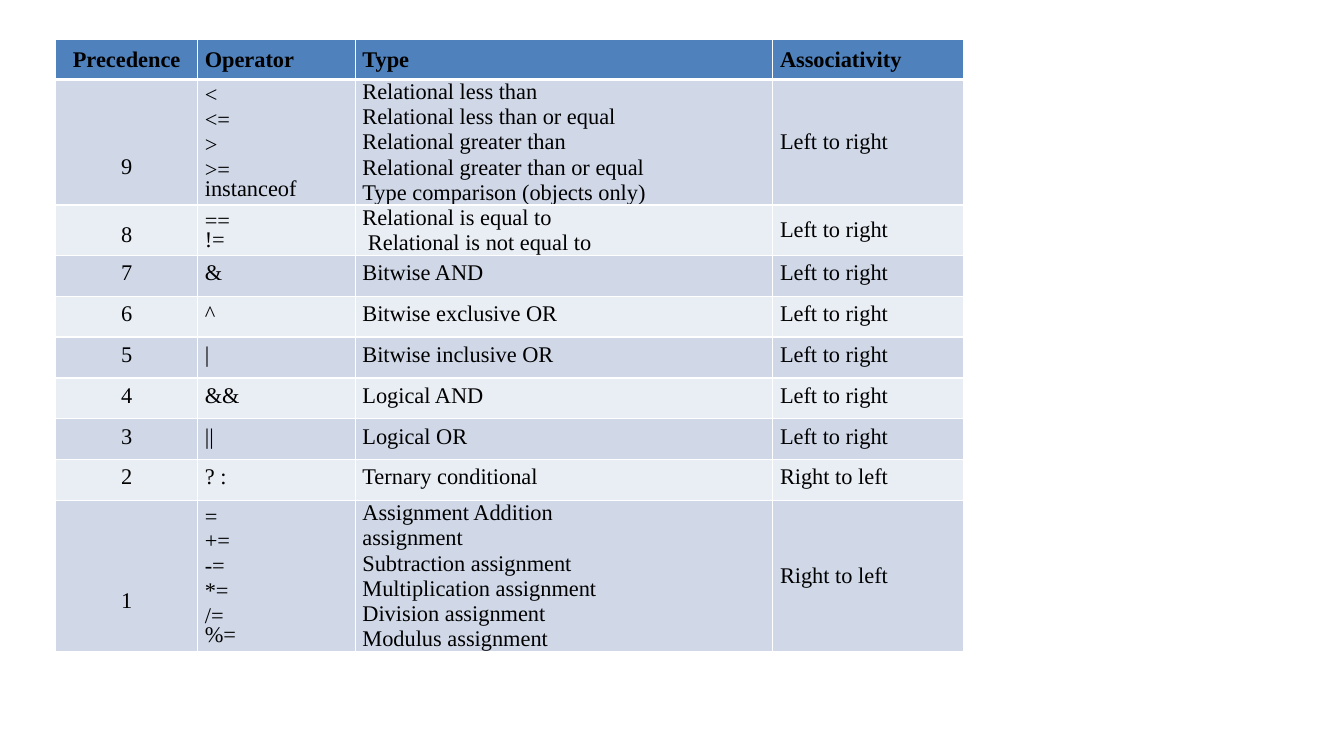
"""Builds a slide with a table of operator precedence."""
from dataclasses import dataclass

from lxml import etree
from pptx import Presentation
from pptx import util as u
from pptx.dml.color import RGBColor
from pptx.enum import text
from pptx.oxml.ns import qn


@dataclass(frozen=True)
class Theme:
    """Colours, font and sizes of the slide."""
    head: str = "4F81BD"
    odd: str = "D0D8E8"
    even: str = "E9EDF4"
    ink: str = "000000"
    rule: str = "FFFFFF"
    font: str = "Times New Roman"
    size: float = 16
    tight: float = 13.8
    loose: float = 1.01
    thin: float = 1
    thick: float = 3
    dent: float = 0.18


class Deck:
    """Holds the theme and the current slide."""

    def __init__(self, theme):
        """Start a wide deck with one blank slide."""
        self.theme = theme
        self.prs = Presentation()
        self.prs.slide_width = u.Inches(13.33)
        self.prs.slide_height = u.Inches(7.5)
        self.slide = self.prs.slides.add_slide(self.prs.slide_layouts[6])

    def indent(self, para, left):
        """Set the left indent of a paragraph in centimetres."""
        props = para._p.get_or_add_pPr()
        props.set("marL", str(u.Cm(left)))
        props.set("indent", "0")

    def border(self, cell, top, low):
        """Draw the four edges of a cell."""
        props = cell._tc.get_or_add_tcPr()
        edges = {"lnL": self.theme.thin, "lnR": self.theme.thin,
                 "lnT": top, "lnB": low}
        for spot, (tag, width) in enumerate(edges.items()):
            line = etree.Element(qn(f"a:{tag}"), w=str(u.Pt(width)))
            fill = etree.SubElement(line, qn("a:solidFill"))
            etree.SubElement(fill, qn("a:srgbClr"), val=self.theme.rule)
            props.insert(spot, line)

    def cell(self, cell, words, row, col, tall):
        """Fill and format one table cell."""
        look = self.theme
        shade = look.odd if row % 2 else look.even
        cell.fill.solid()
        cell.fill.fore_color.rgb = RGBColor.from_string(shade if row else look.head)
        self.border(cell, look.thick if row == 1 else look.thin,
                    look.thin if row else look.thick)
        cell.margin_left = cell.margin_right = 0
        cell.margin_top = cell.margin_bottom = 0
        cell.vertical_anchor = text.MSO_ANCHOR.MIDDLE
        cell.text_frame.text = words
        paras = cell.text_frame.paragraphs
        for para in paras:
            if col == 0:
                para.alignment = text.PP_ALIGN.CENTER
            else:
                self.indent(para, look.dent)
            last = col == 1 and para is paras[-1]
            if row and (not tall or last):
                para.line_spacing = u.Pt(look.tight)
            elif tall and col == 2:
                para.line_spacing = look.loose
            for run in para.runs:
                run.font.name = look.font
                run.font.size = u.Pt(look.size)
                run.font.bold = row == 0
                run.font.color.rgb = RGBColor.from_string(look.ink)

    def table(self, left, top, widths, heights, rows):
        """Add a table and return it."""
        frame = self.slide.shapes.add_table(
            len(rows), len(widths), u.Cm(left), u.Cm(top),
            u.Cm(sum(widths)), u.Cm(sum(heights)))
        grid = frame.table
        for col, width in enumerate(widths):
            grid.columns[col].width = u.Cm(width)
        for row, (height, items) in enumerate(zip(heights, rows)):
            grid.rows[row].height = u.Cm(height)
            tall = any("\n" in words for words in items)
            for col, words in enumerate(items):
                self.cell(grid.cell(row, col), words, row, col, tall)
        return grid


LEFT, RIGHT = "Left to right", "Right to left"
ROWS = [
    ("Precedence", "Operator", "Type", "Associativity"),
    ("9", "<\n<=\n>\n>=\ninstanceof",
     "Relational less than\n"
     "Relational less than or equal Relational greater than\n"
     "Relational greater than or equal\n"
     "Type comparison (objects only)", LEFT),
    ("8", "==\n!=", "Relational is equal to\nRelational is not equal to", LEFT),
    ("7", "&", "Bitwise AND", LEFT),
    ("6", "^", "Bitwise exclusive OR", LEFT),
    ("5", "|", "Bitwise inclusive OR", LEFT),
    ("4", "&&", "Logical AND", LEFT),
    ("3", "||", "Logical OR", LEFT),
    ("2", "? :", "Ternary conditional", RIGHT),
    ("1", "=\n+=\n-=\n*=\n/=\n%=",
     "Assignment Addition assignment\n"
     "Subtraction assignment Multiplication assignment Division assignment\n"
     "Modulus assignment", RIGHT),
]


def main():
    """Build and save the slide."""
    deck = Deck(Theme())
    grid = deck.table(1.4, 1, [3.58, 3.97, 10.52, 4.8],
                      [1, 3.15, 1.25] + [1.03] * 6 + [3.77], ROWS)
    for row, drop in ((1, 1.27), (2, 0.25), (9, 1.27)):
        grid.cell(row, 0).margin_top = u.Cm(drop)
    for row, inset in ((1, 2.75), (9, 4)):
        grid.cell(row, 2).margin_right = u.Cm(inset)
    deck.indent(grid.cell(2, 2).text_frame.paragraphs[1], 0.32)
    deck.prs.save("out.pptx")


if __name__ == "__main__":
    main()
